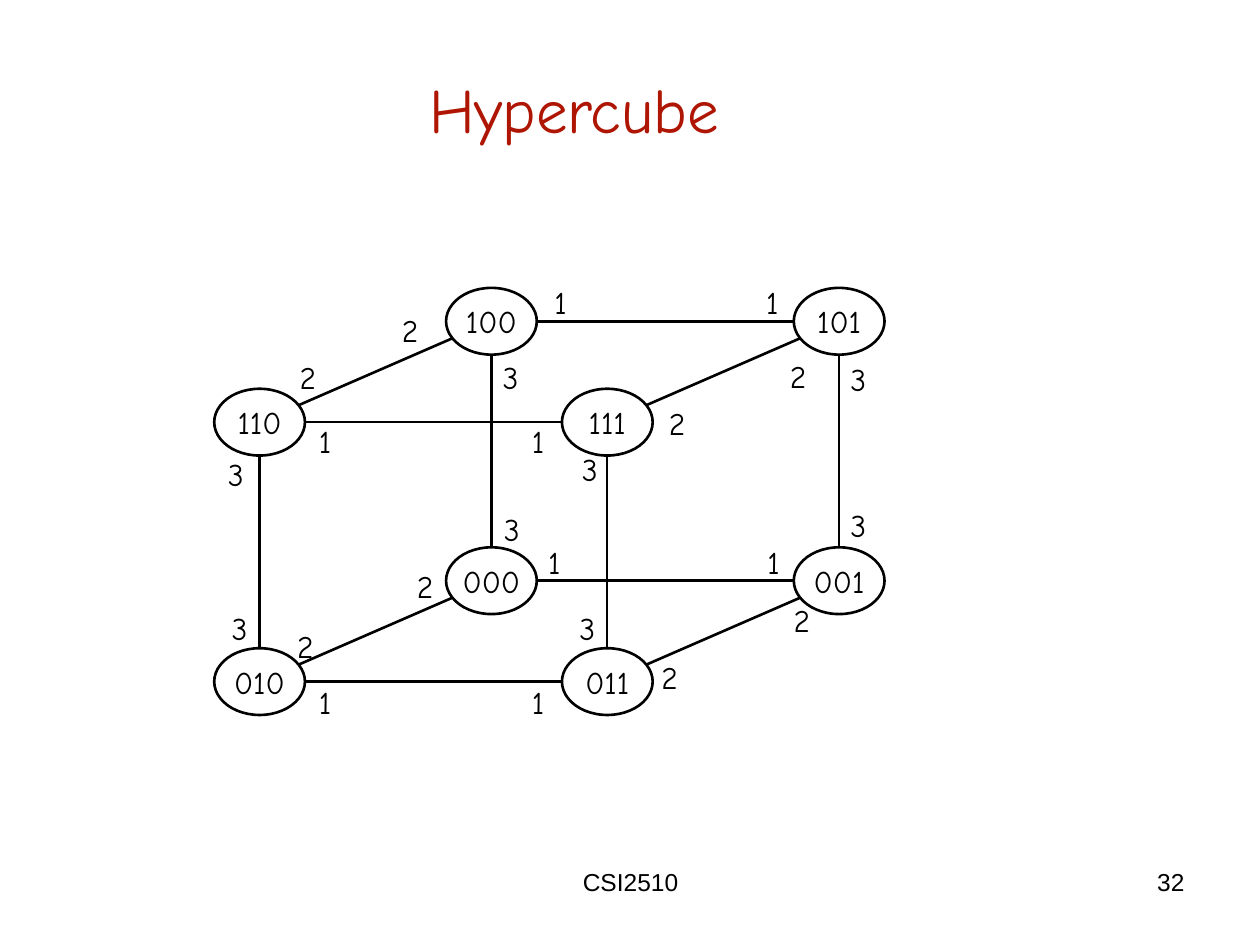
from collections import namedtuple
from itertools import product

from lxml.etree import SubElement
from pptx import Presentation
from pptx.dml.color import RGBColor
from pptx.enum.shapes import MSO_CONNECTOR, MSO_SHAPE
from pptx.enum.text import MSO_ANCHOR, MSO_AUTO_SIZE, PP_ALIGN
from pptx.oxml.ns import qn
from pptx.util import Inches, Pt

Box = namedtuple("Box", "left top width height")

SLIDE_WIDTH, SLIDE_HEIGHT = Inches(10), Inches(7.5)
COLUMNS = 1000
CELL = SLIDE_WIDTH // COLUMNS

BLACK = RGBColor(0, 0, 0)
WHITE = RGBColor(255, 255, 255)
RED = RGBColor(0xAE, 0x15, 0x02)
DIAGRAM_FONT = "Comic Neue"
FOOTER_FONT = "Arial"

TITLE_BOX = Box(330, 51, 251, 70)
FOOTER_BOX = Box(342, 683, 317, 52)
NUMBER_BOX = Box(717, 683, 233, 52)
CUBE_BOX = Box(206, 255, 460, 286)

FACE_WIDTH_SHARE, FACE_HEIGHT_SHARE = 0.6, 0.72
NODE_WIDTH, NODE_HEIGHT = 72, 53
LABEL_WIDTH, LABEL_HEIGHT = 32, 40

PORT_OFFSETS = {
    "000": [(50, -15), (-53, 4), (16, -41)],
    "001": [(-52, -15), (-30, 31), (15, -44)],
    "010": [(52, 16), (36, -28), (-16, -43)],
    "011": [(-55, 16), (49, -4), (-16, -43)],
    "100": [(55, -15), (-65, 7), (15, 44)],
    "101": [(-53, -15), (-33, 43), (15, 46)],
    "110": [(52, 15), (38, -36), (-19, 41)],
    "111": [(-55, 15), (55, 1), (-14, 37)],
}


def to_length(cells):
    return round(cells * CELL)


def to_lengths(box):
    return [to_length(cells) for cells in box]


def centered_box(center, width, height):
    return Box(center[0] - width / 2, center[1] - height / 2, width, height)


def add_text(shapes, box, text, font=DIAGRAM_FONT, size=18, color=BLACK,
             align=PP_ALIGN.CENTER, anchor=MSO_ANCHOR.MIDDLE, wrap=False):
    frame = shapes.add_textbox(*to_lengths(box)).text_frame
    frame.word_wrap = wrap
    frame.auto_size = MSO_AUTO_SIZE.NONE if wrap else MSO_AUTO_SIZE.SHAPE_TO_FIT_TEXT
    frame.vertical_anchor = anchor
    paragraph = frame.paragraphs[0]
    paragraph.alignment = align
    run = paragraph.add_run()
    run.text = text
    run.font.name = font
    run.font.size = Pt(size)
    run.font.color.rgb = color


def add_outline(shapes, preset, box, fill=None):
    shape = shapes.add_shape(preset, *to_lengths(box))
    shape.shadow.inherit = False
    if fill is None:
        shape.fill.background()
    else:
        shape.fill.solid()
        shape.fill.fore_color.rgb = fill
    shape.line.color.rgb = BLACK
    shape.line.width = Pt(1.5)


def add_edge(shapes, start, end):
    edge = shapes.add_connector(MSO_CONNECTOR.STRAIGHT, *to_lengths(start + end))
    edge.line.color.rgb = BLACK
    edge.line.width = Pt(1.5)
    SubElement(edge._element.spPr, qn("a:effectLst"))


def cube_corners(box):
    face_width = box.width * FACE_WIDTH_SHARE
    face_height = box.height * FACE_HEIGHT_SHARE
    depth_x, depth_y = box.width - face_width, box.height - face_height
    corners = {}
    for upper, front, right in product((0, 1), repeat=3):
        corners[f"{upper}{front}{right}"] = (
            box.left + right * face_width + (1 - front) * depth_x,
            box.top + (1 - upper) * face_height + front * depth_y,
        )
    return corners


def add_edges(shapes, corners):
    for front in "10":
        left, top = corners[f"1{front}0"]
        right, bottom = corners[f"0{front}1"]
        face = Box(left, top, right - left, bottom - top)
        add_outline(shapes, MSO_SHAPE.RECTANGLE, face)
    for upper, right in product("01", repeat=2):
        add_edge(shapes, corners[f"{upper}1{right}"], corners[f"{upper}0{right}"])


def add_node(shapes, center, code):
    node_box = centered_box(center, NODE_WIDTH, NODE_HEIGHT)
    add_outline(shapes, MSO_SHAPE.OVAL, node_box, fill=WHITE)
    text_width = 68 - 5 * code.count("1")
    add_text(shapes, centered_box(center, text_width, LABEL_HEIGHT), code)


def add_ports(shapes, center, offsets):
    for dimension, (across, down) in enumerate(offsets, start=1):
        port = (center[0] + across, center[1] + down)
        add_text(shapes, centered_box(port, LABEL_WIDTH, LABEL_HEIGHT), str(dimension))


def add_hypercube(slide, box):
    shapes = slide.shapes.add_group_shape().shapes
    corners = cube_corners(box)
    add_edges(shapes, corners)
    for code, center in corners.items():
        add_node(shapes, center, code)
    for code, center in corners.items():
        add_ports(shapes, center, PORT_OFFSETS[code])


def add_footer(slide, course_box, number_box):
    style = {"font": FOOTER_FONT, "size": 14, "anchor": MSO_ANCHOR.TOP, "wrap": True}
    add_text(slide.shapes, course_box, "CSI2510", **style)
    add_text(slide.shapes, number_box, "32", align=PP_ALIGN.RIGHT, **style)


def add_title(slide, box):
    add_text(slide.shapes, box, "Hypercube", size=36, color=RED)


def main():
    presentation = Presentation()
    presentation.slide_width = SLIDE_WIDTH
    presentation.slide_height = SLIDE_HEIGHT
    slide = presentation.slides.add_slide(presentation.slide_layouts[6])
    add_footer(slide, FOOTER_BOX, NUMBER_BOX)
    add_hypercube(slide, CUBE_BOX)
    add_title(slide, TITLE_BOX)
    presentation.save("out.pptx")


if __name__ == "__main__":
    main()
